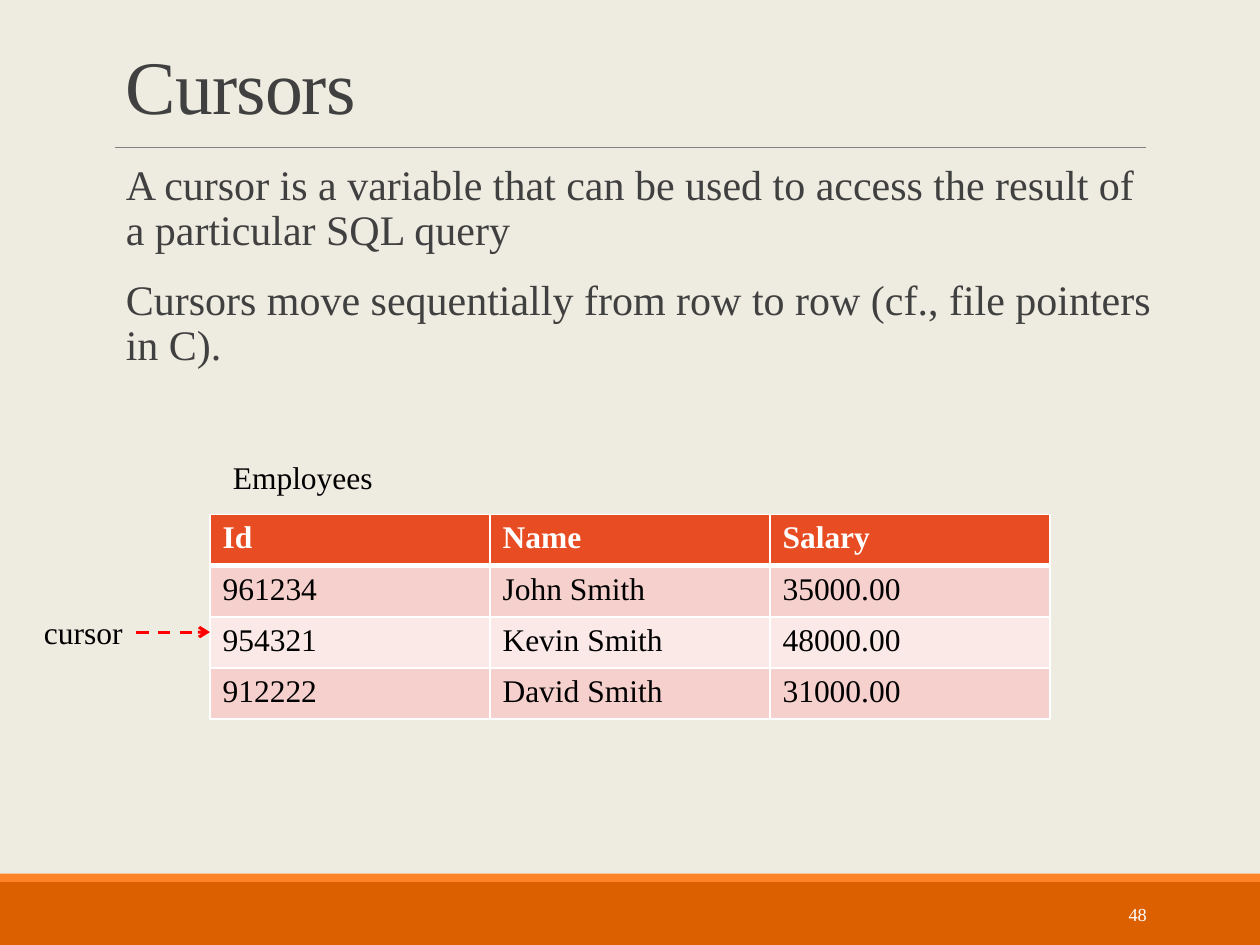
from dataclasses import dataclass

from lxml.etree import SubElement
from pptx import Presentation
from pptx.dml.color import RGBColor as RGB
from pptx.enum.dml import MSO_LINE_DASH_STYLE as Dash
from pptx.enum.shapes import MSO_CONNECTOR as Connector, MSO_SHAPE as Shape
from pptx.enum.text import MSO_ANCHOR as Anchor, PP_ALIGN as Align
from pptx.oxml.ns import qn
from pptx.util import Inches, Pt


@dataclass(frozen=True)
class Theme:
    font: str = "Times New Roman"
    background: str = "EEECE1"
    ink: str = "404040"
    black: str = "000000"
    white: str = "FFFFFF"
    rule: str = "808080"
    footer: str = "DC5F00"
    stripe: str = "FF8427"
    header: str = "E84C22"
    bands: tuple = ("F6D0CD", "FBE9E8")
    arrow: str = "FF0000"
    title_size: float = 43.2
    body_size: float = 24
    label_size: float = 18
    number_size: float = 10.5


def grid(*units):
    """Lengths on a square grid of 120 columns by 90 rows."""
    return [Inches(u / 12) for u in units]


def apply(target, **values):
    for name, value in values.items():
        setattr(target, name, value)


class SlideBuilder:
    def __init__(self, prs, theme):
        self.theme = theme
        self.s = prs.slides.add_slide(prs.slide_layouts[6])
        fill = self.s.background.fill
        fill.solid()
        fill.fore_color.rgb = RGB.from_string(theme.background)

    def add_run(self, p, text, size, color, bold=False):
        r = p.add_run()
        r.text = text
        apply(r.font, name=self.theme.font, size=Pt(size), bold=bold)
        r.font.color.rgb = RGB.from_string(color)
        return r

    def text(self, box, lines, size, color, frame=None, para=None, tracking=None):
        tf = self.s.shapes.add_textbox(*grid(*box)).text_frame
        apply(tf, word_wrap=True, **(frame or {}))
        for i, line in enumerate(lines):
            p = tf.add_paragraph() if i else tf.paragraphs[0]
            apply(p, **(para or {}))
            r = self.add_run(p, line, size, color)
            if tracking:
                r.font._element.set("spc", str(int(tracking * 100)))

    def bar(self, box, color):
        sp = self.s.shapes.add_shape(Shape.RECTANGLE, *grid(*box))
        sp.shadow.inherit = False
        sp.fill.solid()
        sp.fill.fore_color.rgb = RGB.from_string(color)
        sp.line.fill.background()

    def line(self, ends, color, width, dash=None, arrow=False):
        cx = self.s.shapes.add_connector(Connector.STRAIGHT, *grid(*ends))
        apply(cx.line, width=Pt(width), dash_style=dash)
        cx.line.color.rgb = RGB.from_string(color)
        if arrow:
            SubElement(cx.line._get_or_add_ln(), qn("a:tailEnd"), type="arrow")
        SubElement(cx._element.spPr, qn("a:effectLst"))

    def borders(self, cell, top, bottom):
        tc_pr = cell._tc.get_or_add_tcPr()
        for side, width in {"L": 1, "R": 1, "T": top, "B": bottom}.items():
            ln = SubElement(tc_pr, qn(f"a:ln{side}"), w=str(Pt(width)))
            fill = SubElement(ln, qn("a:solidFill"))
            SubElement(fill, qn("a:srgbClr"), val=self.theme.white)

    def table(self, box, rows):
        t = self.theme
        shape = self.s.shapes.add_table(len(rows), len(rows[0]), *grid(*box))
        for i, row in enumerate(rows):
            head = i == 0
            for j, value in enumerate(row):
                cell = shape.table.cell(i, j)
                self.borders(cell, top=3 if i == 1 else 1, bottom=3 if head else 1)
                cell.fill.solid()
                color = t.header if head else t.bands[(i - 1) % 2]
                cell.fill.fore_color.rgb = RGB.from_string(color)
                self.add_run(cell.text_frame.paragraphs[0], value, t.label_size,
                             t.white if head else t.black, bold=head)


def main():
    prs = Presentation()
    apply(prs, slide_width=Inches(10), slide_height=Inches(7.5))
    t = Theme()
    slide = SlideBuilder(prs, t)

    slide.bar((0, 84, 120, 6), t.footer)
    slide.bar((0, 83.2, 120, 0.8), t.stripe)
    slide.line((11, 14.05, 109.1, 14.05), t.rule, 0.5)

    slide.text((10.8, 3.7, 99, 9.25), ["Cursors"], t.title_size, t.ink,
               frame={"vertical_anchor": Anchor.BOTTOM},
               para={"line_spacing": 0.85}, tracking=-0.5)
    slide.text((10.8, 15, 99, 62),
               ["A cursor is a variable that can be used to access the result of "
                "a particular SQL query",
                "Cursors move sequentially from row to row (cf., file pointers in C)."],
               t.body_size, t.ink,
               frame={"margin_left": Inches(0.1), "margin_right": 0},
               para={"line_spacing": 0.9, "space_before": Pt(12), "space_after": Pt(2)})
    slide.text((97.4, 84.7, 13, 4.8), ["48"], t.number_size, t.white,
               frame={"vertical_anchor": Anchor.MIDDLE},
               para={"alignment": Align.RIGHT})

    slide.table((20, 49, 80, 19.5), [
        ("Id", "Name", "Salary"),
        ("961234", "John Smith", "35000.00"),
        ("954321", "Kevin Smith", "48000.00"),
        ("912222", "David Smith", "31000.00"),
    ])
    slide.text((21, 43, 25, 5), ["Employees"], t.label_size, t.black)
    slide.text((3, 57.8, 13, 4.8), ["cursor"], t.label_size, t.black)
    slide.line((13, 60.2, 20, 60.2), t.arrow, 1.75, Dash.DASH, arrow=True)

    prs.save("out.pptx")


if __name__ == "__main__":
    main()
